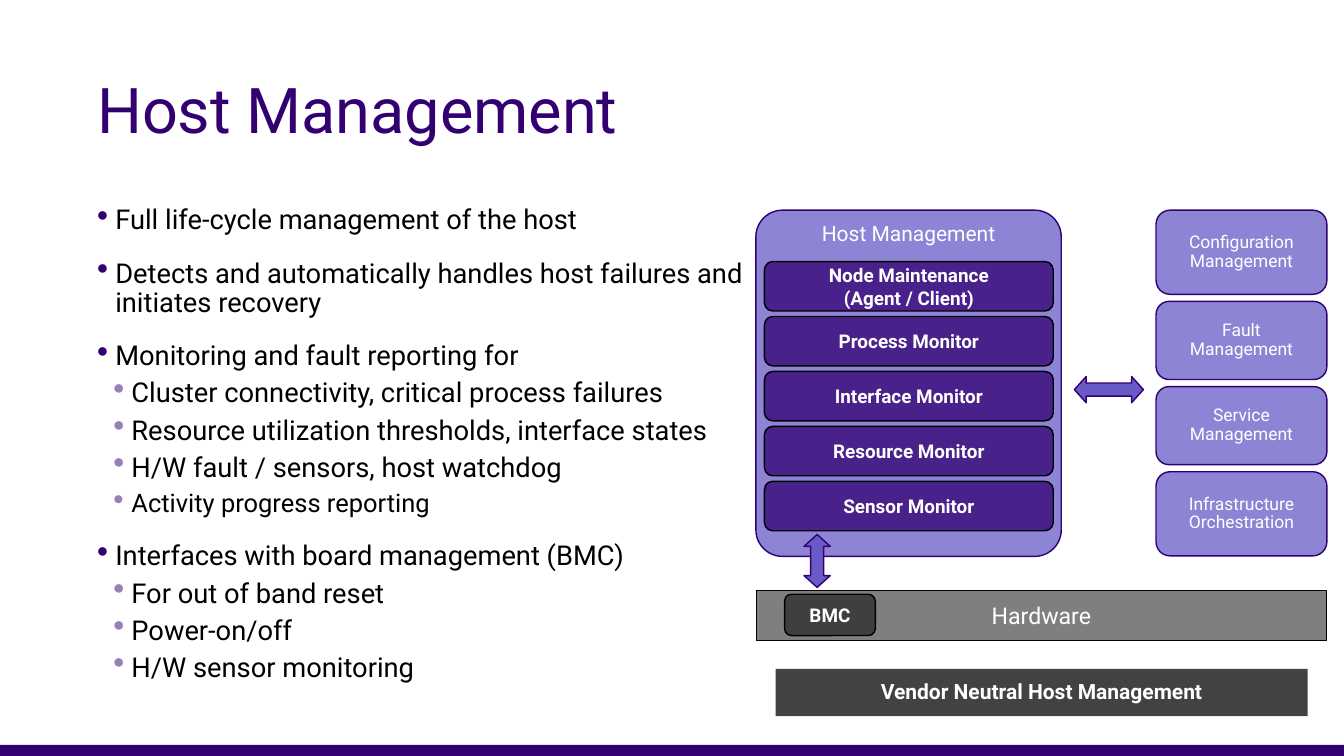
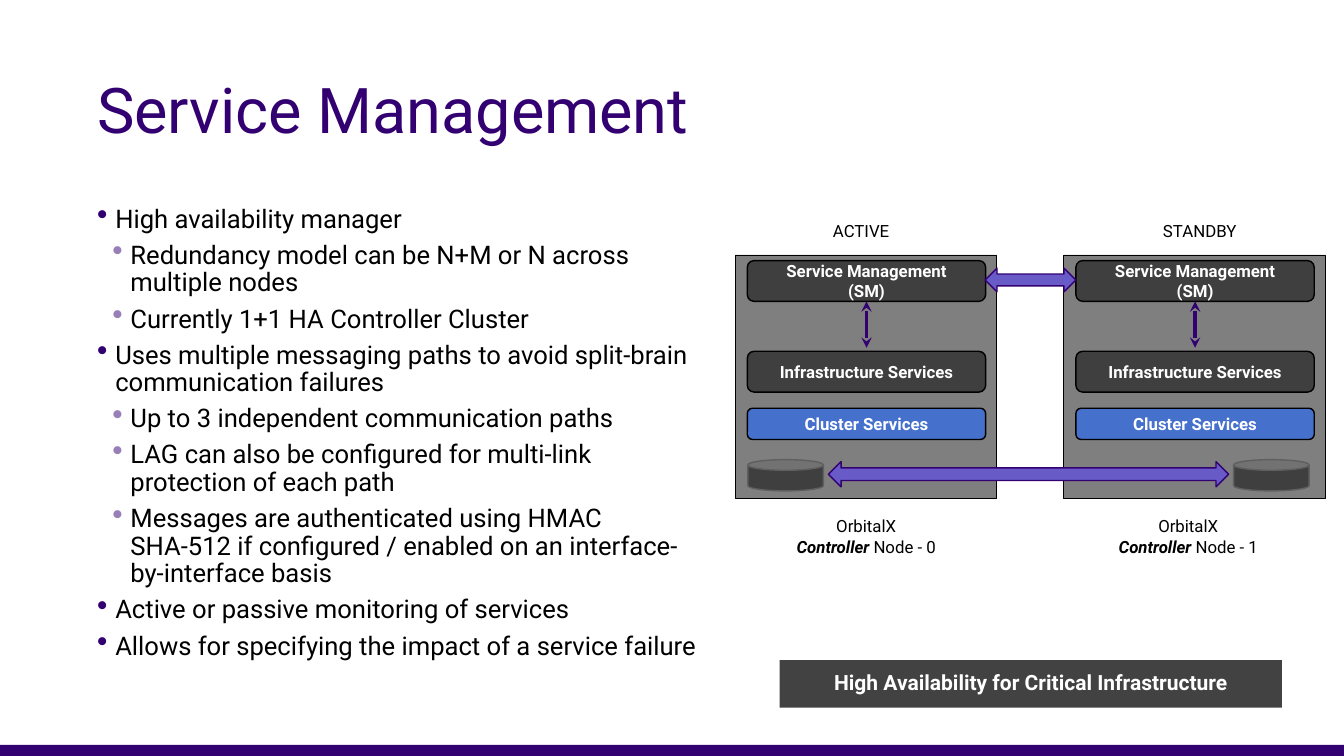
from dataclasses import dataclass

from lxml.etree import SubElement
from pptx import Presentation
from pptx.dml.color import RGBColor
from pptx.enum.shapes import MSO_CONNECTOR as Connector, MSO_SHAPE as Shape
from pptx.enum.text import MSO_ANCHOR as Anchor, PP_ALIGN as Align
from pptx.oxml.ns import qn
from pptx.util import Emu, Pt

PX = 9144


@dataclass(frozen=True)
class Theme:
    font: str = "Roboto"
    purple: str = "330072"
    violet: str = "685BC7"
    pale_purple: str = "997FB8"
    blue: str = "326CE6"
    grey: str = "5F5F5F"
    black: str = "000000"
    white: str = "FFFFFF"
    title: float = 90
    hardware: float = 33
    heading: float = 30
    monitor: float = 27
    peer: float = 25
    node: float = 24
    host_body: float = 39
    host_minor: float = 36.4
    service_body: float = 36.6


THEME = Theme()


@dataclass(frozen=True)
class Box:
    left: int
    top: int
    width: int
    height: int

    def inside(self, left, top, width, height):
        return Box(self.left + left, self.top + top, width, height)

    def emu(self):
        return [Emu(side * PX) for side in (self.left, self.top, self.width, self.height)]


@dataclass(frozen=True)
class Bullet:
    text: str
    level: int = 0
    before: float = 0
    size: float = 0


def color(value):
    return RGBColor.from_string(value)


def style_run(run, size, ink, bold=False, italic=False):
    run.font.name = THEME.font
    run.font.size = Pt(size)
    run.font.color.rgb = color(ink)
    run.font.bold = bold
    run.font.italic = italic


def set_frame(shape, anchor, inset):
    frame = shape.text_frame
    frame.word_wrap = True
    frame.vertical_anchor = anchor
    frame.margin_left = frame.margin_right = Emu(inset * PX)
    frame.margin_top = frame.margin_bottom = Emu(inset * PX)
    return frame


def write(shape, text, size, ink=THEME.white, bold=False, align=Align.CENTER,
          anchor=Anchor.MIDDLE, inset=0, spacing=1.0):
    frame = set_frame(shape, anchor, inset)
    frame.text = text
    for para in frame.paragraphs:
        para.alignment = align
        para.line_spacing = spacing
        for run in para.runs:
            style_run(run, size, ink, bold)


def add_text(page, box, text, size, ink=THEME.black, **options):
    label = page.shapes.add_textbox(*box.emu())
    write(label, text, size, ink, inset=10, **options)


def add_block(page, kind, box, fill, alpha=100, line=None, width=2, adjust=()):
    block = page.shapes.add_shape(kind, *box.emu())
    block.shadow.inherit = False
    block.fill.solid()
    block.fill.fore_color.rgb = color(fill)
    if alpha < 100:
        tint = block.element.spPr.find(qn("a:solidFill"))[0]
        SubElement(tint, qn("a:alpha"), val=str(alpha * 1000))
    if line:
        block.line.color.rgb = color(line)
        block.line.width = Pt(width)
    else:
        block.line.fill.background()
    for index, value in enumerate(adjust):
        block.adjustments[index] = value
    return block


def add_pill(page, box, text, size, fill=THEME.black, alpha=50):
    pill = add_block(page, Shape.ROUNDED_RECTANGLE, box, fill, alpha, THEME.black)
    write(pill, text, size, bold=True)
    return pill


def add_double_arrow(page, box, head=0.5):
    return add_block(page, Shape.LEFT_RIGHT_ARROW, box, THEME.violet,
                     line=THEME.purple, adjust=(0.5, head))


def add_link(page, source, length):
    left = source.left + source.width // 2
    top = source.top + source.height
    link = page.shapes.add_connector(Connector.STRAIGHT, left, top, left, top + length * PX)
    link.begin_connect(source, 2)
    link.line.color.rgb = color(THEME.purple)
    link.line.width = Pt(5)
    properties = link.element.spPr
    for end in ("a:headEnd", "a:tailEnd"):
        SubElement(properties.find(qn("a:ln")), qn(end), type="stealth")
    SubElement(properties, qn("a:effectLst"))


def add_bullets(page, box, bullets, size, before, indent, hang=36):
    body = page.shapes.add_textbox(*box.emu())
    frame = set_frame(body, Anchor.TOP, 10)
    frame.text = "\n".join(bullet.text for bullet in bullets)
    for para, bullet in zip(frame.paragraphs, bullets):
        para.level = bullet.level
        para.line_spacing = 0.9
        para.space_before = Pt(bullet.before or before)
        style_run(para.runs[0], bullet.size or size, THEME.black)
        properties = para._p.get_or_add_pPr()
        properties.set("marL", str((hang + bullet.level * indent) * PX))
        properties.set("indent", str(-hang * PX))
        mark = SubElement(properties, qn("a:buClr"))
        ink = THEME.pale_purple if bullet.level else THEME.purple
        SubElement(mark, qn("a:srgbClr"), val=ink)
        SubElement(properties, qn("a:buSzPct"), val="120000")
        SubElement(properties, qn("a:buChar"), char="•")


def add_page(deck, title):
    page = deck.slides.add_slide(deck.slide_layouts[6])
    add_block(page, Shape.RECTANGLE, Box(-3, 1478, 2672, 22), THEME.purple)
    add_text(page, Box(183, 80, 2300, 290), title, THEME.title, THEME.purple,
             align=Align.LEFT, spacing=0.9)
    return page


def add_banner(page, box, text):
    banner = add_block(page, Shape.RECTANGLE, box, THEME.black, 74)
    write(banner, text, THEME.heading, bold=True, spacing=0.9)


def draw_host_panel(page, box):
    panel = add_block(page, Shape.ROUNDED_RECTANGLE, box, THEME.violet, 75,
                      THEME.purple, adjust=(0.087,))
    write(panel, "Host Management", THEME.heading, anchor=Anchor.TOP, inset=10, spacing=0.9)
    monitors = ("Node Maintenance\n(Agent / Client)", "Process Monitor",
                "Interface Monitor", "Resource Monitor", "Sensor Monitor")
    for row, monitor in enumerate(monitors):
        add_pill(page, box.inside(17, 102 + row * 109, 573, 98), monitor,
                 THEME.monitor, THEME.purple, 75)


def draw_peers(page, box):
    peers = (("Configuration\vManagement", 167), ("Fault\vManagement", 155),
             ("Service\vManagement", 155), ("Infrastructure\vOrchestration", 167))
    gap = (box.height - sum(height for _, height in peers)) // (len(peers) - 1)
    top = 0
    for peer, height in peers:
        block = add_block(page, Shape.ROUNDED_RECTANGLE, box.inside(0, top, box.width, height),
                          THEME.violet, 75, THEME.purple)
        write(block, peer, THEME.peer, spacing=0.9)
        top += height + gap


def draw_hardware(page, box):
    hardware = add_block(page, Shape.RECTANGLE, box, THEME.black, 50, THEME.black, 1)
    write(hardware, "Hardware", THEME.hardware)
    add_pill(page, box.inside(56, 8, 180, 82), "BMC", THEME.monitor)


def draw_host_diagram(page, box):
    add_double_arrow(page, box.inside(632, 330, 137, 52), 0.451)
    draw_peers(page, box.inside(794, 0, 339, 686))
    draw_host_panel(page, box.inside(0, 0, 606, 687))
    draw_hardware(page, box.inside(1, 754, 1131, 99))
    board_arrow = add_double_arrow(page, box.inside(69, 670, 105, 52), 0.451)
    board_arrow.rotation = 270


def draw_caption(page, box, number):
    caption = page.shapes.add_textbox(*box.emu())
    frame = set_frame(caption, Anchor.TOP, 10)
    frame.text = "OrbitalX\nController "
    product, node = frame.paragraphs
    style_run(product.runs[0], THEME.node, THEME.black)
    style_run(node.runs[0], THEME.node, THEME.black, True, True)
    suffix = node.add_run()
    suffix.text = f"Node - {number}"
    style_run(suffix, THEME.node, THEME.black)
    for para in frame.paragraphs:
        para.alignment = Align.CENTER


def draw_controller(page, box, number, role, role_left, store_left, caption_left):
    add_text(page, box.inside(role_left, 0, 186, 64), role, THEME.node,
             align=Align.LEFT, anchor=Anchor.TOP)
    add_block(page, Shape.RECTANGLE, box.inside(0, 78, 519, 483), THEME.black, 50,
              THEME.black, 1)
    manager = add_pill(page, box.inside(24, 89, 473, 81), "Service Management\n(SM)", THEME.node)
    add_pill(page, box.inside(24, 269, 473, 81), "Infrastructure Services", THEME.node)
    add_pill(page, box.inside(24, 382, 473, 62), "Cluster Services", THEME.node, THEME.blue, 75)
    add_link(page, manager, 92)
    add_block(page, Shape.CAN, box.inside(store_left, 484, 150, 62), THEME.black, 50,
              THEME.grey, adjust=(0.34,))
    draw_caption(page, box.inside(caption_left, 586, 326, 107), number)


def draw_service_diagram(page, box):
    controllers = (("ACTIVE", 184, 25, 97), ("STANDBY", 187, 337, 84))
    for number, details in enumerate(controllers):
        draw_controller(page, box.inside(number * 652, 0, 519, box.height), number, *details)
    add_double_arrow(page, box.inside(496, 104, 180, 47))
    add_double_arrow(page, box.inside(185, 488, 794, 50))


def build_host_page(deck):
    page = add_page(deck, "Host Management")
    section = 34
    bullets = (
        Bullet("Full life-cycle management of the host"),
        Bullet("Detects and automatically handles host failures and initiates recovery",
               before=section),
        Bullet("Monitoring and fault reporting for", before=section),
        Bullet("Cluster connectivity, critical process failures", 1),
        Bullet("Resource utilization thresholds, interface states", 1),
        Bullet("H/W fault / sensors, host watchdog", 1),
        Bullet("Activity progress reporting", 1, size=THEME.host_minor),
        Bullet("Interfaces with board management (BMC)", before=section),
        Bullet("For out of band reset", 1),
        Bullet("Power-on/off", 1),
        Bullet("H/W sensor monitoring", 1),
    )
    add_bullets(page, Box(183, 399, 1313, 952), bullets, THEME.host_body, 11, 32)
    add_banner(page, Box(1539, 1327, 1056, 94), "Vendor Neutral Host Management")
    draw_host_diagram(page, Box(1500, 417, 1133, 853))


def build_service_page(deck):
    page = add_page(deck, "Service Management")
    bullets = (
        Bullet("High availability manager"),
        Bullet("Redundancy model can be N+M or N across multiple nodes", 1),
        Bullet("Currently 1+1 HA Controller Cluster", 1),
        Bullet("Uses multiple messaging paths to avoid split-brain communication failures"),
        Bullet("Up to 3 independent communication paths", 1),
        Bullet("LAG can also be configured for multi-link protection of each path", 1),
        Bullet("Messages are authenticated using HMAC SHA-512 if configured / enabled "
               "on an interface-by-interface basis", 1),
        Bullet("Active or passive monitoring of services"),
        Bullet("Allows for specifying the impact of a service failure"),
    )
    add_bullets(page, Box(183, 399, 1226, 952), bullets, THEME.service_body, 12, 30)
    add_banner(page, Box(1547, 1310, 997, 94), "High Availability for Critical Infrastructure")
    draw_service_diagram(page, Box(1459, 428, 1173, 693))


def main():
    deck = Presentation()
    deck.slide_width = Emu(2667 * PX)
    deck.slide_height = Emu(1500 * PX)
    build_host_page(deck)
    build_service_page(deck)
    deck.save("out.pptx")


if __name__ == "__main__":
    main()
